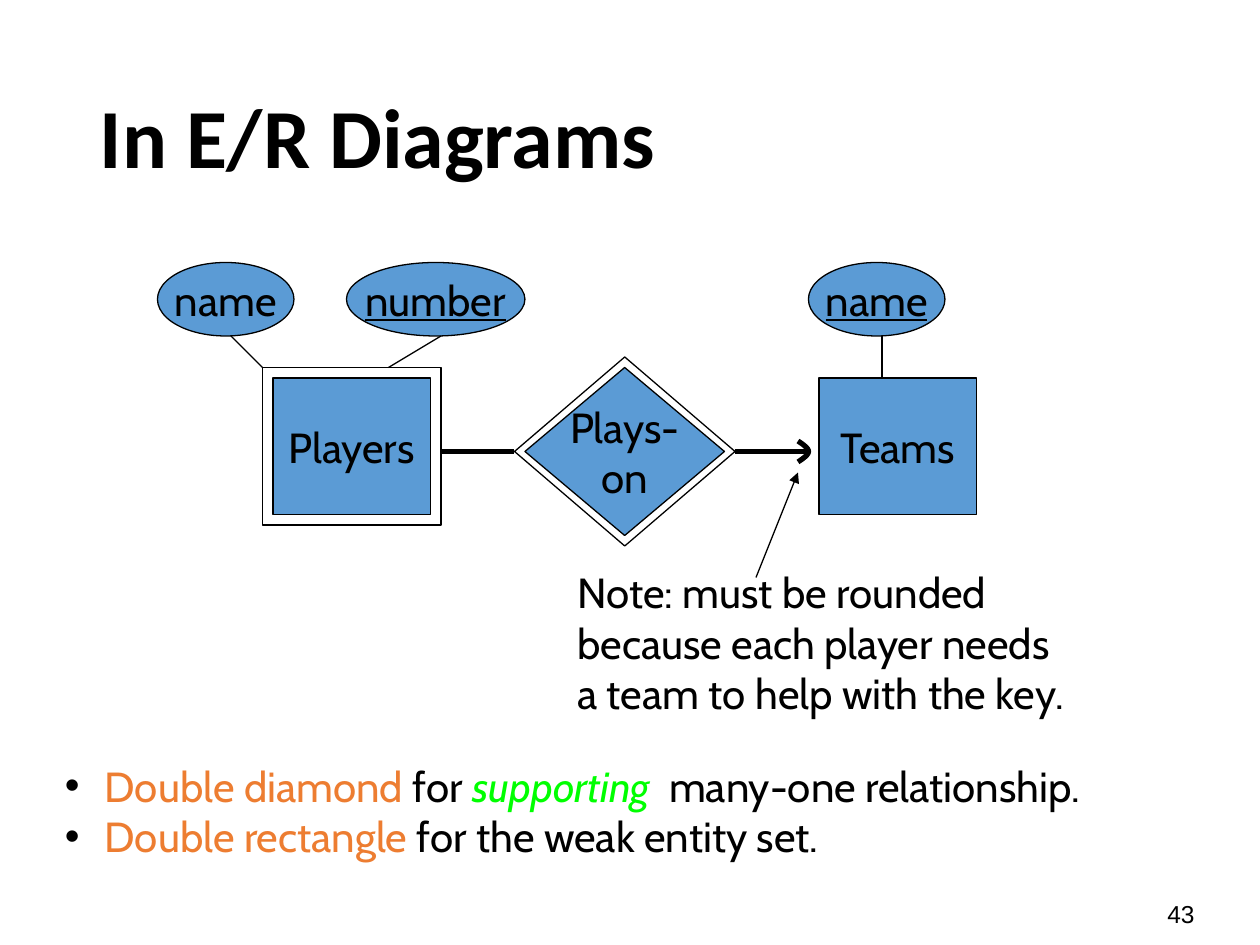
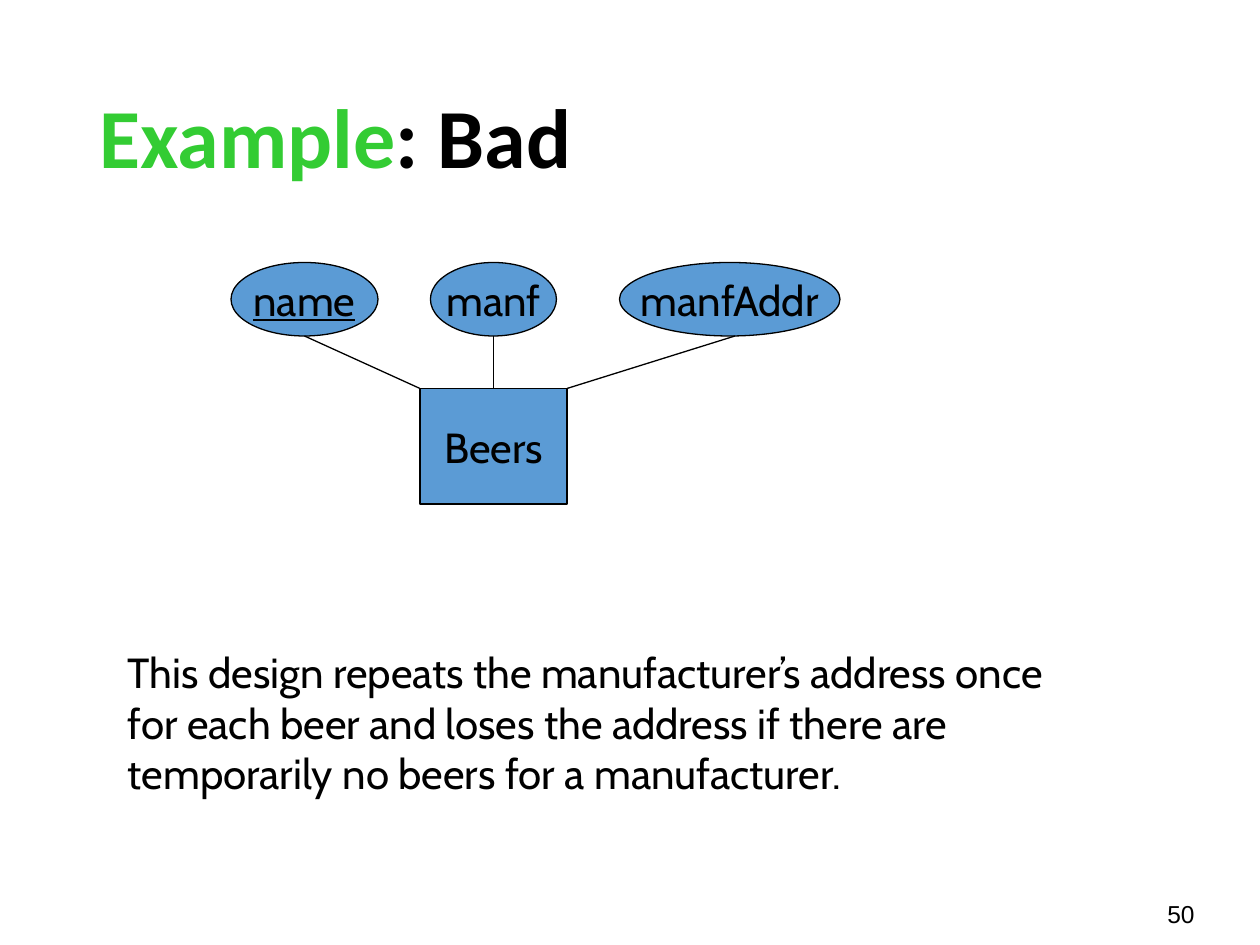
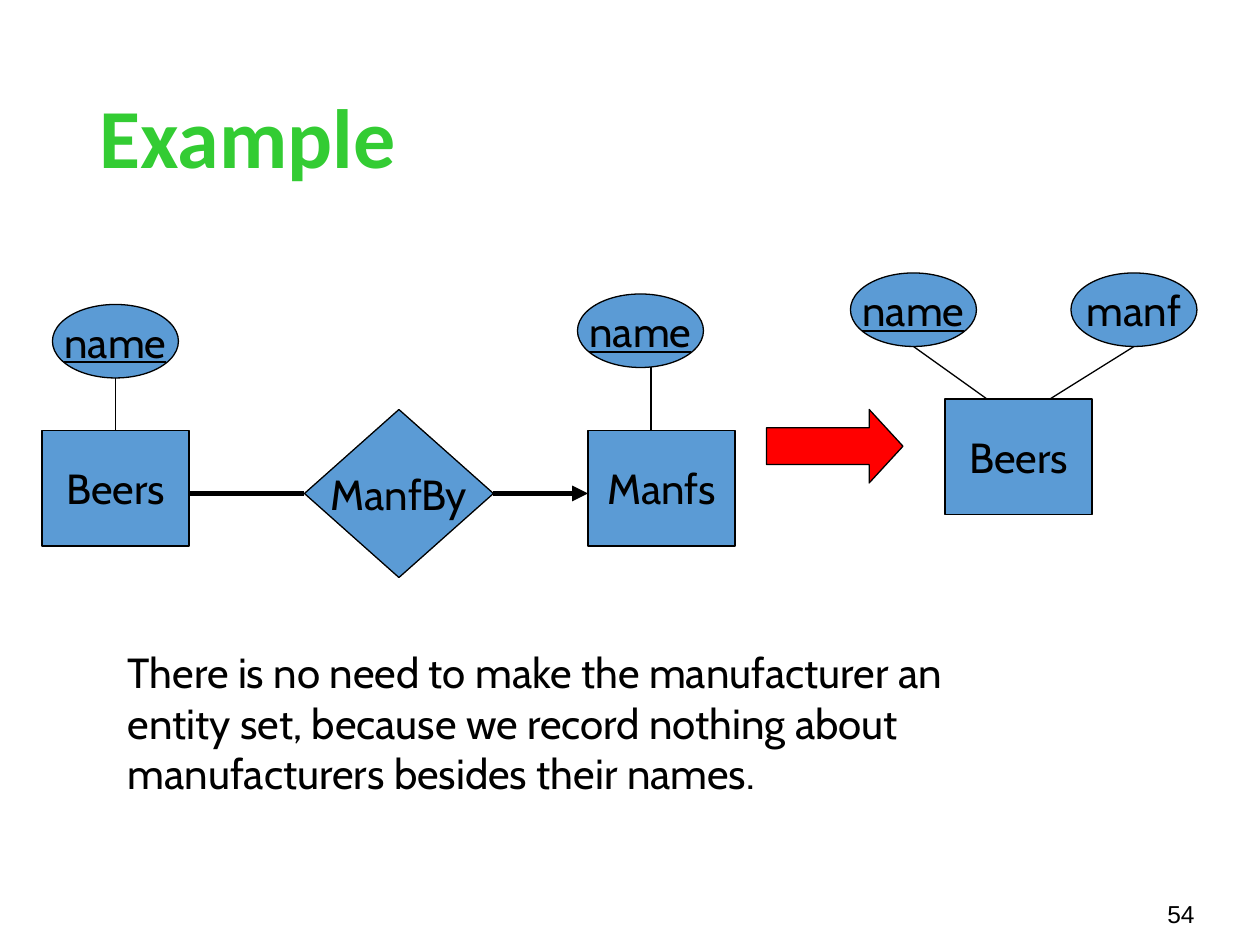
from pptx import Presentation
from pptx.dml.color import RGBColor
from pptx.enum.shapes import MSO_CONNECTOR as Link, MSO_SHAPE as Form
from pptx.enum.text import MSO_ANCHOR as Anchor, MSO_AUTO_SIZE as Fit, PP_ALIGN as Align
from pptx.oxml.ns import qn
from pptx.util import Emu, Pt
from lxml.etree import SubElement

PX = 7620
BLACK, BLUE, RED = "000000", "5B9BD5", "FF0000"
ORANGE, LIME, GREEN = "ED7D31", "00FF00", "33CC33"
TITLE_FONT, BODY_FONT, NUMBER_FONT = "Calibri", "Cabin", "Arial"
THIN, THICK = 0.75, 3
ATTRIBUTE_HEIGHT = 70
DOUBLE_GAP = 10


def px(*lengths):
    """Turn px lengths into EMU."""
    return [Emu(round(length * PX)) for length in lengths]


def rgb(color):
    """Turn a hex string into a colour."""
    return RGBColor.from_string(color)


def add_run(paragraph, words, color=BLACK, size=24, font=BODY_FONT, **style):
    """Add one styled run to a paragraph."""
    run = paragraph.add_run()
    run.text = words
    run.font.name, run.font.size = font, Pt(size)
    run.font.color.rgb = rgb(color)
    for key, value in style.items():
        setattr(run.font, key, value)


def add_paragraphs(frame, count):
    """Return the first paragraph of a frame and enough new ones."""
    return [frame.paragraphs[0]] + [frame.add_paragraph() for _ in range(count - 1)]


def add_bullet(paragraph):
    """Give a paragraph a hanging black bullet."""
    properties = paragraph._p.get_or_add_pPr()
    indent = px(38)[0]
    properties.set("marL", str(indent))
    properties.set("indent", str(-indent))
    bullet_color = SubElement(properties, qn("a:buClr"))
    SubElement(bullet_color, qn("a:srgbClr"), val=BLACK)
    SubElement(properties, qn("a:buFont"), typeface=NUMBER_FONT)
    SubElement(properties, qn("a:buChar"), char="•")


def add_text(slide, box, paragraphs, bulleted=False, **style):
    """Add a wrapped text box; each paragraph is a list of (words, style)."""
    frame = slide.shapes.add_textbox(*px(*box)).text_frame
    frame.word_wrap = True
    for paragraph, runs in zip(add_paragraphs(frame, len(paragraphs)), paragraphs):
        if bulleted:
            add_bullet(paragraph)
        for words, run_style in runs:
            add_run(paragraph, words, **{**style, **run_style})


def start_slide(deck, number, *title_runs):
    """Add a slide with its title and number."""
    slide = deck.slides.add_slide(deck.slide_layouts[5])
    title = slide.shapes.title
    title.left, title.top, title.width, title.height = px(83, 48, 1036, 174)
    frame = title.text_frame
    frame.auto_size, frame.vertical_anchor = Fit.NONE, Anchor.MIDDLE
    paragraph = frame.paragraphs[0]
    paragraph.alignment, paragraph.line_spacing = Align.LEFT, 0.9
    for words, color in title_runs:
        add_run(paragraph, words, color, 48, TITLE_FONT, bold=True)
    add_text(slide, (1100, 850, 70, 41), [[(str(number), {})]],
             size=14, font=NUMBER_FONT)
    return slide


def style_outline(shape, fill=None, weight=THIN):
    """Give a shape a black line, a plain fill or none, and no shadow."""
    shape.shadow.inherit = False
    shape.line.color.rgb, shape.line.width = rgb(BLACK), Pt(weight)
    if fill:
        shape.fill.solid()
        shape.fill.fore_color.rgb = rgb(fill)
    else:
        shape.fill.background()


def add_node(slide, form, box, label="", fill=BLUE, key=False):
    """Add a diagram node with a centred label, underlined for a key."""
    node = slide.shapes.add_shape(form, *px(*box))
    style_outline(node, fill)
    if label:
        frame = node.text_frame
        frame.word_wrap, frame.vertical_anchor = False, Anchor.MIDDLE
        lines = label.split("\n")
        for paragraph, line in zip(add_paragraphs(frame, len(lines)), lines):
            paragraph.alignment = Align.CENTER
            add_run(paragraph, line, underline=key or None)
    return node


def add_double_node(slide, form, box, label):
    """Add a node with a second outline around it."""
    left, top, width, height = box
    add_node(slide, form, box, label)
    add_node(slide, form, (left - DOUBLE_GAP, top - DOUBLE_GAP,
                           width + 2 * DOUBLE_GAP, height + 2 * DOUBLE_GAP), fill=None)


def add_attribute(slide, left, top, width, label, key=False):
    """Add an attribute ellipse."""
    add_node(slide, Form.OVAL, (left, top, width, ATTRIBUTE_HEIGHT), label, key=key)


def add_entity(slide, left, top, label):
    """Add an entity set of the usual size."""
    add_node(slide, Form.RECTANGLE, (left, top, 140, 110), label)


def add_link(slide, start, end, weight=THIN, arrow=False):
    """Add a straight line, with an arrowhead at its end if asked."""
    link = slide.shapes.add_connector(Link.STRAIGHT, *px(*start, *end))
    link.line.color.rgb, link.line.width = rgb(BLACK), Pt(weight)
    properties = link.element.spPr
    if arrow:
        SubElement(properties.find(qn("a:ln")), qn("a:tailEnd"), type="triangle")
    SubElement(properties, qn("a:effectLst"))


def add_rounded_head(slide, tip_x, tip_y, steps=8):
    """Add an open rounded arrowhead with its tip at a point."""
    controls = ((-10, -10), (-4, -6), (0, -3), (0, 0))
    upper = []
    for step in range(steps + 1):
        t = step / steps
        weights = ((1 - t) ** 3, 3 * t * (1 - t) ** 2, 3 * t * t * (1 - t), t ** 3)
        upper.append([sum(w * point[axis] for w, point in zip(weights, controls))
                      for axis in (0, 1)])
    lower = [(x, -y) for x, y in reversed(upper[:-1])]
    curve = [px(tip_x + x, tip_y + y) for x, y in upper + lower]
    builder = slide.shapes.build_freeform(*curve[0], scale=1.0)
    builder.add_line_segments(curve[1:], close=False)
    style_outline(builder.convert_to_shape(), weight=THICK)


def add_remark(slide, words):
    """Add the remark below a diagram."""
    add_text(slide, (110, 610, 902, 156), [[(words, {})]])


def build_er_diagram(deck):
    """Build the weak entity set diagram."""
    slide = start_slide(deck, 43, ("In E/R Diagrams", BLACK))
    add_double_node(slide, Form.RECTANGLE, (260, 360, 150, 130), "Players")
    add_node(slide, Form.RECTANGLE, (780, 360, 150, 130), "Teams")
    add_double_node(slide, Form.DIAMOND, (500, 350, 190, 160), "Plays-\non")
    add_attribute(slide, 150, 250, 130, "name")
    add_attribute(slide, 330, 250, 170, "number", key=True)
    add_attribute(slide, 770, 250, 130, "name", key=True)
    for start, end in (((220, 320), (250, 350)), ((420, 320), (370, 350)),
                       ((840, 320), (840, 360))):
        add_link(slide, start, end)
    add_link(slide, (420, 430), (490, 430), THICK)
    add_link(slide, (700, 430), (770, 430), THICK)
    add_rounded_head(slide, 770, 430)
    add_text(slide, (538, 534, 544, 156), [
        [("Note: must be rounded", {})],
        [("because each player needs", {})],
        [("a team to help with the key.", {})]])
    add_link(slide, (720, 550), (760, 450), arrow=True)
    add_text(slide, (50, 718, 1090, 108), [
        [("Double diamond", {"color": ORANGE}), (" for ", {}),
         ("supporting ", {"color": LIME, "italic": True}),
         (" many-one relationship.", {})],
        [("Double rectangle", {"color": ORANGE}),
         (" for the weak entity set.", {})]], bulleted=True)


def build_bad_design(deck):
    """Build the example that repeats the address."""
    slide = start_slide(deck, 50, ("Example", GREEN), (": Bad", BLACK))
    add_entity(slide, 400, 370, "Beers")
    add_attribute(slide, 220, 250, 140, "name", key=True)
    add_attribute(slide, 410, 250, 120, "manf")
    add_attribute(slide, 590, 250, 210, "manfAddr")
    for attribute_x, entity_x in ((290, 400), (470, 470), (700, 540)):
        add_link(slide, (attribute_x, 320), (entity_x, 370))
    add_remark(slide, "This design repeats the manufacturer’s address once for each "
                      "beer and loses the address if there are temporarily no beers "
                      "for a manufacturer.")


def build_simpler_design(deck):
    """Build the example that drops an entity set."""
    slide = start_slide(deck, 54, ("Example", GREEN))
    for left, top, label in ((900, 380, "Beers"), (40, 410, "Beers"), (560, 410, "Manfs")):
        add_entity(slide, left, top, label)
    add_node(slide, Form.DIAMOND, (290, 390, 180, 160), "ManfBy")
    for left, top in ((810, 260), (50, 290), (550, 280)):
        add_attribute(slide, left, top, 120, "name", key=True)
    add_attribute(slide, 1020, 260, 120, "manf")
    for start, end in (((870, 330), (940, 380)), ((1080, 330), (1000, 380)),
                       ((110, 360), (110, 410)), ((620, 350), (620, 410))):
        add_link(slide, start, end)
    add_link(slide, (290, 470), (180, 470), THICK)
    add_link(slide, (470, 470), (560, 470), THICK, arrow=True)
    change = add_node(slide, Form.RIGHT_ARROW, (730, 390, 130, 70), fill=RED)
    change.adjustments[1] = 0.46
    add_remark(slide, "There is no need to make the manufacturer an entity set, because "
                      "we record nothing about manufacturers besides their names.")


def main():
    """Build and save the deck."""
    deck = Presentation()
    deck.slide_width, deck.slide_height = px(1200, 900)
    build_er_diagram(deck)
    build_bad_design(deck)
    build_simpler_design(deck)
    deck.save("out.pptx")


if __name__ == "__main__":
    main()
